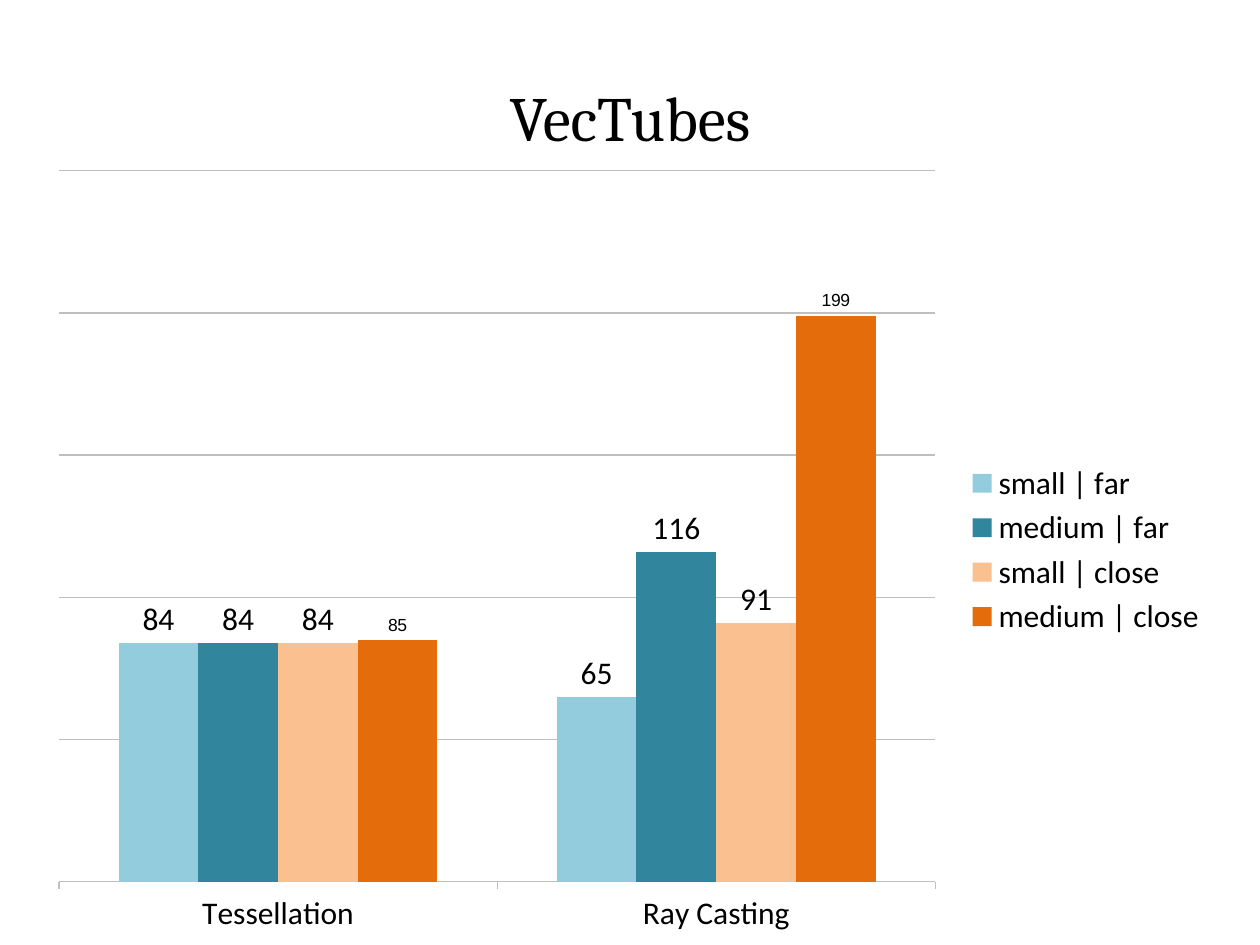
from dataclasses import dataclass

from lxml import etree
from pptx import Presentation
from pptx.chart.data import CategoryChartData
from pptx.dml.color import RGBColor
from pptx.enum.chart import XL_CHART_TYPE as ChartType
from pptx.enum.chart import XL_LABEL_POSITION as LabelPosition
from pptx.enum.chart import XL_LEGEND_POSITION as LegendPosition
from pptx.enum.chart import XL_TICK_MARK as TickMark
from pptx.enum.text import MSO_ANCHOR as Anchor
from pptx.enum.text import PP_ALIGN as Align
from pptx.oxml.ns import qn
from pptx.util import Inches, Pt

# Content
TITLE = "VecTubes"
CATEGORIES = ["Tessellation", "Ray Casting"]
# name, values, bar colour, label font, label size
SERIES = [
    ("small | far", (84, 65), "93CDDD", "Calibri", 18),
    ("medium | far", (84, 116), "31859C", "Calibri", 18),
    ("small | close", (84, 91), "FAC090", "Calibri", 18),
    ("medium | close", (85, 199), "E46C0A", "Arial", 10),
]
TITLE_BOX = (0.5, 0.3, 9, 1.25)
CHART_BOX = (0.28, 1.23, 9.4, 6.27)
PLOT_SHARE = {"x": 0.02, "y": 0.02, "w": 0.74, "h": 0.9}


@dataclass
class Theme:
    title_font: str = "Cambria"
    chart_font: str = "Calibri"
    title_size: int = 36
    chart_size: int = 18
    text: str = "000000"
    grid: str = "BFBFBF"
    line_width: float = 0.75


theme = Theme()


def style_font(font, name, size):
    font.name, font.size = name, Pt(size)
    font.color.rgb = RGBColor.from_string(theme.text)


def style_line(line):
    line.color.rgb = RGBColor.from_string(theme.grid)
    line.width = Pt(theme.line_width)


def place_plot(chart, share):
    """Fix the inner plot area as shares of the chart frame."""
    area = chart._chartSpace.find(".//" + qn("c:plotArea"))
    layout = area.find(qn("c:layout"))
    if layout is None:
        layout = etree.Element(qn("c:layout"))
        area.insert(0, layout)
    manual = etree.SubElement(layout, qn("c:manualLayout"))
    settings = [("layoutTarget", "inner"), ("xMode", "edge"), ("yMode", "edge")]
    for tag, value in settings + list(share.items()):
        etree.SubElement(manual, qn("c:" + tag)).set("val", str(value))


deck = Presentation()
deck.slide_width, deck.slide_height = Inches(10), Inches(7.5)
page = deck.slides.add_slide(deck.slide_layouts[5])

# Title
title = page.shapes.title
title.left, title.top, title.width, title.height = map(Inches, TITLE_BOX)
title.text_frame.vertical_anchor = Anchor.MIDDLE
para = title.text_frame.paragraphs[0]
para.alignment = Align.CENTER
span = para.add_run()
span.text = TITLE
style_font(span.font, theme.title_font, theme.title_size)

# Chart
data = CategoryChartData(number_format="0")
data.categories = CATEGORIES
for name, values, *_ in SERIES:
    data.add_series(name, values)
chart = page.shapes.add_chart(
    ChartType.COLUMN_CLUSTERED, *map(Inches, CHART_BOX), data).chart
chart.has_title = False
style_font(chart.font, theme.chart_font, theme.chart_size)
place_plot(chart, PLOT_SHARE)

# Bars and their labels
plot = chart.plots[0]
plot.vary_by_categories = False
plot.gap_width, plot.overlap = 150, 0
for series, (_, _, color, font, size) in zip(plot.series, SERIES):
    series.format.fill.solid()
    series.format.fill.fore_color.rgb = RGBColor.from_string(color)
    labels = series.data_labels
    labels.show_value = True
    labels.position = LabelPosition.OUTSIDE_END
    style_font(labels.font, font, size)

# Axes
category_axis, value_axis = chart.category_axis, chart.value_axis
category_axis.major_tick_mark = TickMark.OUTSIDE
style_line(category_axis.format.line)
value_axis.minimum_scale, value_axis.maximum_scale = 0, 250
value_axis.major_unit = 50
value_axis.visible = False
value_axis.has_major_gridlines = True
style_line(value_axis.major_gridlines.format.line)

# Legend
chart.has_legend = True
chart.legend.position = LegendPosition.RIGHT
chart.legend.include_in_layout = False
style_font(chart.legend.font, theme.chart_font, theme.chart_size)

deck.save("out.pptx")
